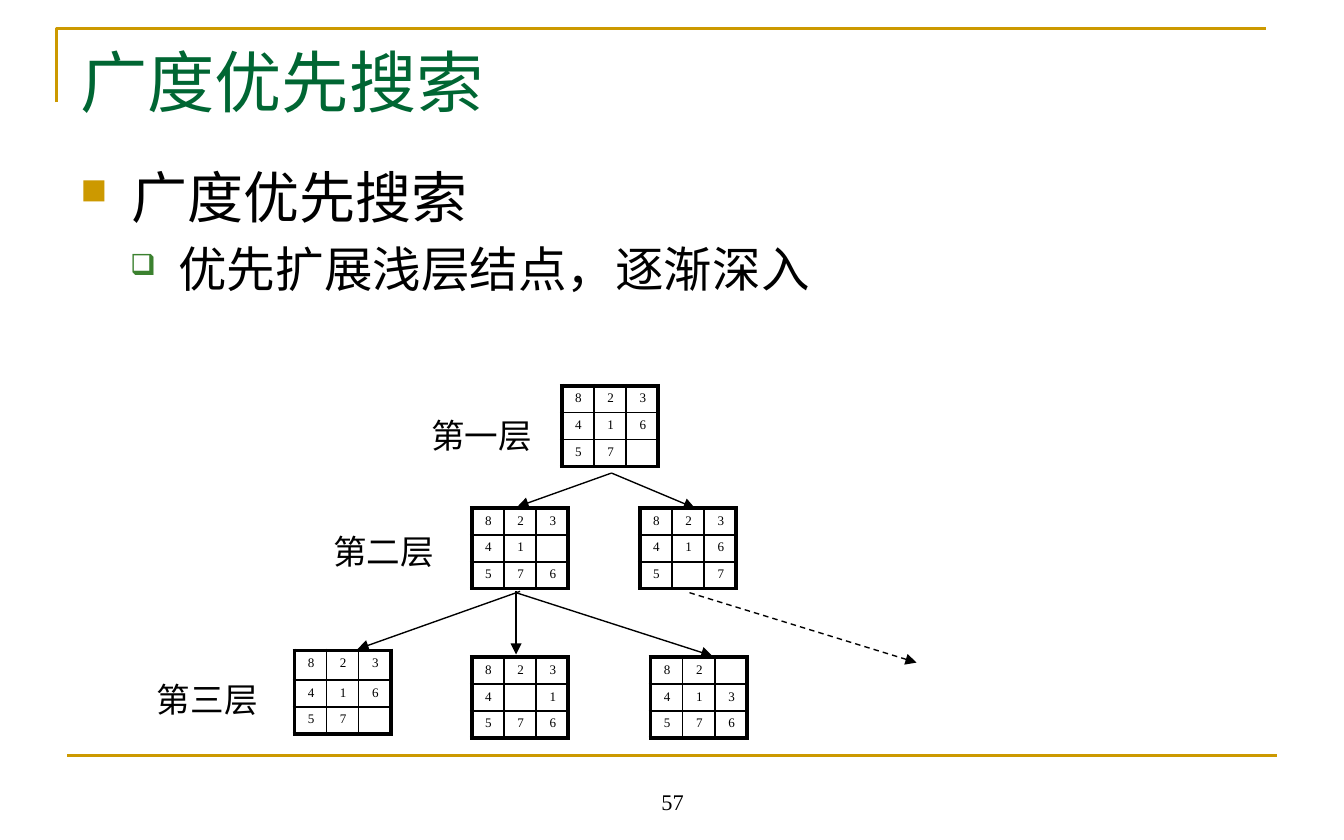
from dataclasses import dataclass

from lxml.etree import SubElement
from pptx import Presentation
from pptx.dml.color import RGBColor
from pptx.enum.dml import MSO_LINE_DASH_STYLE as Dash
from pptx.enum.shapes import MSO_CONNECTOR as Connector
from pptx.enum.text import MSO_ANCHOR as Anchor, PP_ALIGN as Align
from pptx.oxml import parse_xml
from pptx.oxml.ns import nsdecls, qn
from pptx.util import Inches, Pt


@dataclass(frozen=True)
class Theme:
    gold: str = "CC9900"
    title: str = "006633"
    box_bullet: str = "3B812F"
    ink: str = "000000"
    serif: str = "Times New Roman"
    sans: str = "Arial"
    title_size: int = 36
    label_size: int = 18
    number_size: int = 12
    digit_size: int = 7
    rule: float = 1.5
    arrow: float = 0.75
    outer_border: float = 2.25
    inner_border: float = 1


THEME = Theme()
WIDTH, HEIGHT = 10, 6.25
SIDE = 3  # tiles along one side of a puzzle
TILE_WIDTH, TILE_HEIGHT = 0.238, 0.2

# Content
TITLE = "广度优先搜索"
PAGE_NUMBER = "57"
# text, size, level, left margin, hanging indent, bullet, bullet colour, bullet percent
POINTS = [
    ("广度优先搜索", 30, 0, 0.38, 0.38, "■", THEME.gold, 65),
    ("优先扩展浅层结点，逐渐深入", 26, 1, 0.73, 0.36, "❑", THEME.box_bullet, 60),
]
LABELS = [
    ("第一层", 3.11, 3.04, 1),
    ("第二层", 2.38, 3.9, 1),
    ("第三层", 1.07, 5, 1.07),
]
# tiles row by row (a space is the hole), left, top, height of first row
PUZZLES = [
    ("82341657 ", 4.18, 2.87, TILE_HEIGHT),
    ("82341 576", 3.51, 3.78, TILE_HEIGHT),
    ("8234165 7", 4.76, 3.78, TILE_HEIGHT),
    ("82 413576", 4.84, 4.89, TILE_HEIGHT),
    ("8234 1576", 3.51, 4.89, TILE_HEIGHT),
    ("82341657 ", 2.19, 4.84, 0.22),
]
# start, end, dashed
ARROWS = [
    ((4.55, 3.52), (3.85, 3.77), False),
    ((4.55, 3.52), (5.17, 3.78), False),
    ((3.87, 4.4), (2.66, 4.83), False),
    ((3.84, 4.4), (3.84, 4.87), False),
    ((3.84, 4.41), (5.3, 4.88), False),
    ((5.13, 4.41), (6.82, 4.93), True),
]


def style(para, size, face, color=THEME.ink):
    para.font.size = Pt(size)
    para.font.name = face
    para.font.color.rgb = RGBColor.from_string(color)


def add_box(page, left, top, width, height, anchor=Anchor.TOP):
    box = page.shapes.add_textbox(*map(Inches, (left, top, width, height)))
    box.text_frame.word_wrap = True
    box.text_frame.vertical_anchor = anchor
    return box.text_frame


def add_line(page, start, end, color, weight):
    line = page.shapes.add_connector(Connector.STRAIGHT, *map(Inches, start + end))
    line.line.color.rgb = RGBColor.from_string(color)
    line.line.width = Pt(weight)
    SubElement(line.element.spPr, qn("a:effectLst"))
    return line


def add_bullet(para, margin, hanging, mark, color, percent):
    props = para._p.get_or_add_pPr()
    props.set("marL", str(Inches(margin)))
    props.set("indent", str(-Inches(hanging)))
    bullet = (
        f'<a:buClr {nsdecls("a")}><a:srgbClr val="{color}"/></a:buClr>',
        f'<a:buSzPct {nsdecls("a")} val="{percent * 1000}"/>',
        f'<a:buChar {nsdecls("a")} char="{mark}"/>',
    )
    place = props.index(props.find(qn("a:defRPr")))
    for offset, xml in enumerate(bullet):
        props.insert(place + offset, parse_xml(xml))


def add_borders(cell, row, column):
    outer = {"L": column == 0, "R": column == SIDE - 1, "T": row == 0, "B": row == SIDE - 1}
    for place, (side, is_outer) in enumerate(outer.items()):
        weight = THEME.outer_border if is_outer else THEME.inner_border
        cell._tc.get_or_add_tcPr().insert(place, parse_xml(
            f'<a:ln{side} {nsdecls("a")} w="{Pt(weight)}"><a:solidFill>'
            f'<a:srgbClr val="{THEME.ink}"/></a:solidFill></a:ln{side}>'))


def add_puzzle(page, tiles, left, top, first_row):
    height = first_row + (SIDE - 1) * TILE_HEIGHT
    table = page.shapes.add_table(
        SIDE, SIDE, *map(Inches, (left, top, SIDE * TILE_WIDTH, height))).table
    table.first_row = table.horz_banding = False
    for column in table.columns:
        column.width = Inches(TILE_WIDTH)
    for index, row in enumerate(table.rows):
        row.height = Inches(TILE_HEIGHT if index else first_row)
    for index, tile in enumerate(tiles):
        row, column = divmod(index, SIDE)
        cell = table.cell(row, column)
        cell.fill.background()
        cell.margin_left = cell.margin_right = Inches(0.1)
        cell.margin_top = cell.margin_bottom = Inches(0.04)
        para = cell.text_frame.paragraphs[0]
        para.space_before = Pt(THEME.digit_size * 0.1)
        style(para, THEME.digit_size, THEME.serif)
        if tile.strip():
            para.add_run().text = tile
        else:  # keeps the row of the hole low
            SubElement(para._p, qn("a:endParaRPr"), sz=str(THEME.digit_size * 100))
        add_borders(cell, row, column)


def main():
    deck = Presentation()
    deck.slide_width, deck.slide_height = Inches(WIDTH), Inches(HEIGHT)
    page = deck.slides.add_slide(deck.slide_layouts[6])

    # Frame: corner above the title, rule above the page number
    builder = page.shapes.build_freeform(Inches(0.42), Inches(0.76))
    builder.add_line_segments(
        [(Inches(0.42), Inches(0.21)), (Inches(9.42), Inches(0.21))], close=False)
    corner = builder.convert_to_shape()
    corner.shadow.inherit = False
    corner.fill.background()
    corner.line.color.rgb = RGBColor.from_string(THEME.gold)
    corner.line.width = Pt(THEME.rule)
    add_line(page, (0.5, 5.62), (9.5, 5.62), THEME.gold, THEME.rule)

    # Page number
    para = add_box(page, 3.42, 5.69, 3.17, 0.42, Anchor.BOTTOM).paragraphs[0]
    para.text = PAGE_NUMBER
    para.alignment = Align.CENTER
    style(para, THEME.number_size, THEME.serif)

    # Title and points
    para = add_box(page, 0.5, 0.25, 9, 1.04).paragraphs[0]
    para.text = TITLE
    style(para, THEME.title_size, THEME.serif, THEME.title)
    frame = add_box(page, 0.5, 1.16, 9, 4.43)
    for index, (text, size, level, *bullet) in enumerate(POINTS):
        para = frame.add_paragraph() if index else frame.paragraphs[0]
        para.text = text
        para.level = level
        para.space_before = Pt(size * 0.2)
        style(para, size, THEME.sans)
        add_bullet(para, *bullet)

    # Search tree: level labels, puzzles, arrows
    for text, left, top, width in LABELS:
        para = add_box(page, left, top, width, 0.4).paragraphs[0]
        para.text = text
        style(para, THEME.label_size, THEME.sans)
    for puzzle in PUZZLES:
        add_puzzle(page, *puzzle)
    for start, end, dashed in ARROWS:
        arrow = add_line(page, start, end, THEME.ink, THEME.arrow)
        if dashed:
            arrow.line.dash_style = Dash.DASH
        SubElement(arrow.line._get_or_add_ln(), qn("a:tailEnd"), type="triangle")

    deck.save("out.pptx")


if __name__ == "__main__":
    main()
